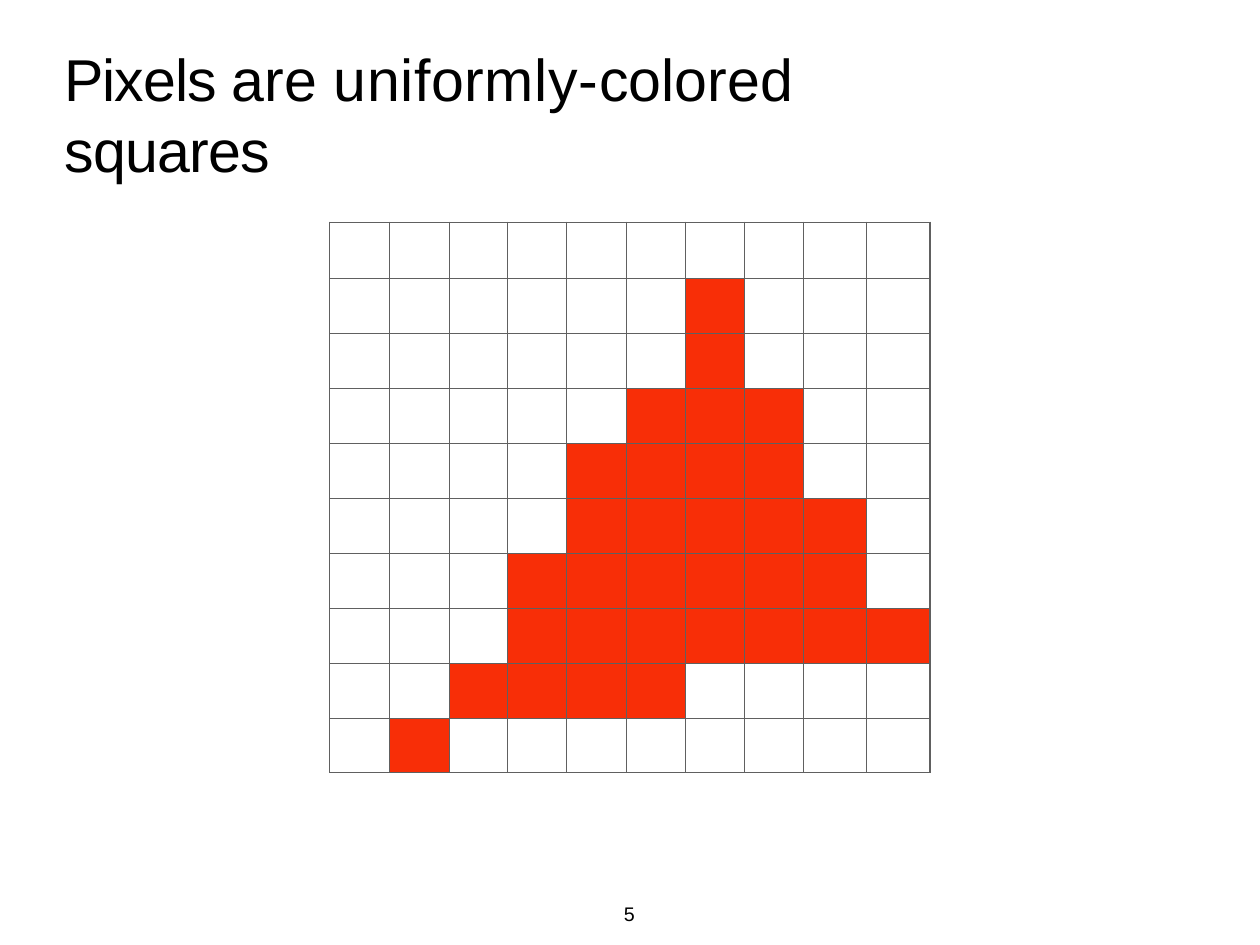
import pptx
import pptx.dml.color
import pptx.enum.text
import pptx.oxml.ns
import pptx.util
from lxml import etree

BLACK = pptx.dml.color.RGBColor(0x00, 0x00, 0x00)
RED = pptx.dml.color.RGBColor(0xF8, 0x2E, 0x07)
GRAY = pptx.dml.color.RGBColor(0x60, 0x60, 0x60)

WIDTH = pptx.util.Inches(14.22)
HEIGHT = pptx.util.Inches(10.67)
COLUMN_SHARES = [4.78, 4.71, 4.64, 4.71, 4.71, 4.71, 4.64, 4.71, 4.99, 5.06]
ROW_SHARES = [6.0] + [5.81] * 7 + [5.9, 5.72]
PIXELS = [
    "..........",
    "......#...",
    "......#...",
    ".....###..",
    "....####..",
    "....#####.",
    "...######.",
    "...#######",
    "..####....",
    ".#........",
]
TITLE_RUNS = [
    ("Pixels ", -0.9),
    ("are ", 0),
    ("uniformly-", 0.5),
    ("colored ", 0),
    ("squares", -0.6),
]
FRAME = {
    "word_wrap": True,
    "margin_left": 0,
    "margin_top": pptx.util.Inches(0.01),
    "margin_right": 0,
    "margin_bottom": 0,
    "auto_size": pptx.enum.text.MSO_AUTO_SIZE.SHAPE_TO_FIT_TEXT,
}


def across(percent):
    return round(WIDTH * percent / 100)


def down(percent):
    return round(HEIGHT * percent / 100)


def apply_format(target, values):
    for name, value in values.items():
        setattr(target, name, value)


def add_text(s, box, runs, size, indent):
    left, top, width, height = box
    tf = s.shapes.add_textbox(
        across(left), down(top), across(width), down(height)
    ).text_frame
    apply_format(tf, FRAME)
    p = tf.paragraphs[0]
    p._p.get_or_add_pPr().set("marL", str(pptx.util.Inches(indent)))
    for text, spacing in runs:
        r = p.add_run()
        r.text = text
        apply_format(r.font, {"name": "Arial", "size": pptx.util.Pt(size)})
        r.font.color.rgb = BLACK
        r._r.get_or_add_rPr().set("spc", str(round(spacing * 100)))


def add_borders(cell):
    tcPr = cell._tc.get_or_add_tcPr()
    for side in ("lnL", "lnR", "lnT", "lnB"):
        ln = etree.SubElement(
            tcPr, pptx.oxml.ns.qn("a:" + side), w=str(pptx.util.Pt(1))
        )
        fill = etree.SubElement(ln, pptx.oxml.ns.qn("a:solidFill"))
        etree.SubElement(fill, pptx.oxml.ns.qn("a:srgbClr"), val=str(GRAY))


def add_pixel_grid(s, left, top):
    table = s.shapes.add_table(
        len(ROW_SHARES), len(COLUMN_SHARES), across(left), down(top),
        across(sum(COLUMN_SHARES)), down(sum(ROW_SHARES)),
    ).table
    apply_format(table, {"first_row": False, "horz_banding": False})
    for column, share in zip(table.columns, COLUMN_SHARES):
        column.width = across(share)
    for row, share, pixels in zip(table.rows, ROW_SHARES, PIXELS):
        row.height = down(share)
        for cell, pixel in zip(row.cells, pixels):
            add_borders(cell)
            if pixel == "#":
                cell.fill.solid()
                cell.fill.fore_color.rgb = RED
            else:
                cell.fill.background()


def main():
    prs = pptx.Presentation()
    apply_format(prs, {"slide_width": WIDTH, "slide_height": HEIGHT})
    s = prs.slides.add_slide(prs.slide_layouts[6])
    add_text(s, (47.61, 95.31, 3.66, 2.81), [("5", -0.1)], 16, 0.27)
    add_pixel_grid(s, 26.16, 23.52)
    add_text(s, (5.06, 4.4, 74.54, 7.78), TITLE_RUNS, 48, 0.01)
    prs.save("out.pptx")


if __name__ == "__main__":
    main()
